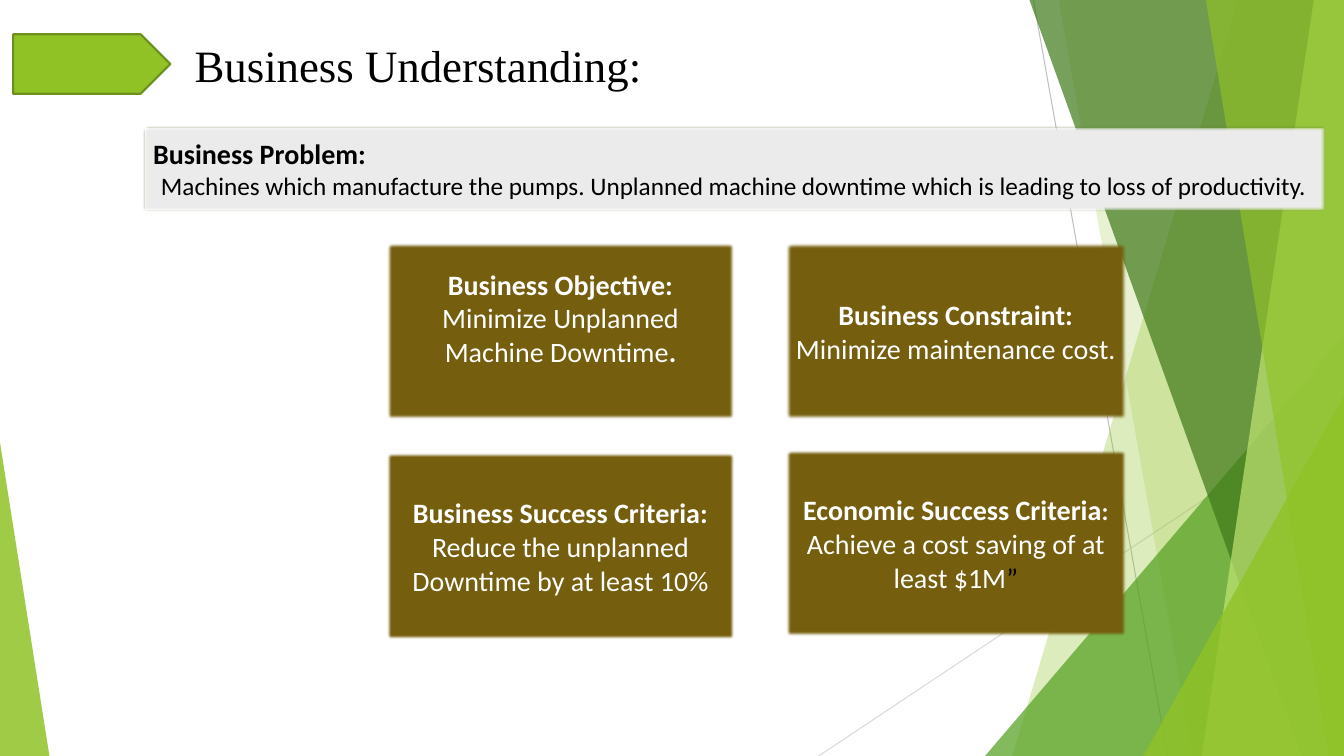
from lxml.etree import SubElement
from pptx import Presentation
from pptx.dml.color import RGBColor
from pptx.enum.shapes import MSO_CONNECTOR, MSO_SHAPE
from pptx.enum.text import MSO_ANCHOR, PP_ALIGN
from pptx.oxml.ns import qn
from pptx.util import Inches, Pt

# Content
TITLE = "Business Understanding:"
PROBLEM = [
    [("Business Problem:", {"bold": True})],
    [(" Machines which manufacture the pumps. Unplanned machine downtime "
      "which is leading to loss of productivity. ", {"size": 18})],
]
# Each card: column, top, height, bottom inset, paragraphs of (text, format)
CARDS = [
    (1, 2.41, 1.75, 0.05, [
        [("Business Constraint:", {"bold": True})],
        [("Minimize maintenance cost.", {})]]),
    (0, 2.41, 1.75, 0.32, [
        [("Business Objective:", {"bold": True})],
        [("Minimize Unplanned Machine Downtime", {}), (".", {"bold": True})]]),
    (1, 4.46, 1.86, 0.05, [
        [("Economic Success Criteria", {"bold": True}),
         (":", {"bold": True, "size": 18})],
        [("Achieve a cost saving of at least $1M", {}),
         ("”", {"color": "black"})]]),
    (0, 4.49, 1.86, 0.05, [
        [("Business Success Criteria:", {"bold": True})],
        [("Reduce the unplanned Downtime by at least 10%", {})]]),
]

# Style and grid
COLORS = {
    "black": "000000", "white": "FFFFFF", "panel": "EBEBEB", "card": "755E0D",
    "card_edge": "486113", "tag_edge": "6B901C", "lime": "90C226",
    "green": "54A021", "forest": "3F7819", "pale": "C0E474",
    "gray": "BFBFBF", "light_gray": "D9D9D9",
}
WIDTH, HEIGHT = 13.33, 7.5
COLUMNS = [(3.83, 3.46), (7.79, 3.38)]  # left, width

# Backdrop: bands run from the right edge to a slanted side (top x, bottom x)
LINES = [((10.25, 0), (11.58, HEIGHT), "gray"),
         ((WIDTH, 4.03), (8.12, HEIGHT), "light_gray")]
BACKDROP = [
    ("band", 12.28, 10.04, "lime", 30),
    ("band", 10.5, 11.83, "lime", 20),
    ("triangle", 9.77, 3.56, 3.33, 1, "green", 72),  # left, width, top, apex
    ("band", 10.21, 12.91, "forest", 70),
    ("band", 13.03, 11.92, "pale", 70),
    ("band", 11.96, 13.18, "lime", 65),
    ("triangle", 11.34, 1.99, 3.93, 1, "lime", 80),
    ("triangle", 0, 0.49, 4.39, 0, "lime", 85),
]


def rgb(name):
    return RGBColor.from_string(COLORS[name])


def paint(shape, fill, opacity=100, edge=None):
    shape.shadow.inherit = False
    shape.fill.solid()
    shape.fill.fore_color.rgb = rgb(fill)
    if opacity < 100:
        color = shape.fill._xPr.find(qn("a:solidFill"))[0]
        SubElement(color, qn("a:alpha")).set("val", str(opacity * 1000))
    if edge:
        shape.line.color.rgb = rgb(edge)
        shape.line.width = Pt(1.5)
    else:
        shape.line.fill.background()


def add_preset(shapes, kind, left, top, width, height, **look):
    shape = shapes.add_shape(kind, Inches(left), Inches(top), Inches(width), Inches(height))
    paint(shape, **look)
    return shape


def soften(shape, points):
    effects = shape._element.spPr.find(qn("a:effectLst"))
    SubElement(effects, qn("a:softEdge")).set("rad", str(int(Pt(points))))


def write(para, text, size=20, bold=False, color="black", font="Calibri"):
    span = para.add_run()
    span.text = text
    span.font.size, span.font.bold, span.font.name = Pt(size), bold, font
    span.font.color.rgb = rgb(color)


def fill_box(box, paragraphs, color, bottom=0.05, first_align=PP_ALIGN.CENTER):
    frame = box.text_frame
    frame.word_wrap = True
    frame.vertical_anchor = MSO_ANCHOR.MIDDLE
    frame.margin_bottom = Inches(bottom)
    for index, spans in enumerate(paragraphs):
        para = frame.add_paragraph() if index else frame.paragraphs[0]
        para.alignment = PP_ALIGN.CENTER if index else first_align
        for text, look in spans:
            write(para, text, **{"color": color, **look})


def draw_backdrop(shapes):
    for start, end, color in LINES:
        line = shapes.add_connector(MSO_CONNECTOR.STRAIGHT, *map(Inches, start + end))
        line.line.color.rgb = rgb(color)
        line.line.width = Pt(0.75)
        SubElement(line._element.spPr, qn("a:effectLst"))
    for kind, *numbers, color, opacity in BACKDROP:
        if kind == "band":
            top_x, bottom_x = numbers
            builder = shapes.build_freeform(Inches(top_x), 0)
            corners = [(WIDTH, 0), (WIDTH, HEIGHT), (bottom_x, HEIGHT)]
            builder.add_line_segments([(Inches(x), Inches(y)) for x, y in corners])
            paint(builder.convert_to_shape(), color, opacity)
        else:
            left, width, top, apex = numbers
            wedge = add_preset(shapes, MSO_SHAPE.ISOSCELES_TRIANGLE, left, top, width,
                               HEIGHT - top, fill=color, opacity=opacity)
            wedge.adjustments[0] = apex


def main():
    deck = Presentation()
    deck.slide_width, deck.slide_height = Inches(WIDTH), Inches(HEIGHT)
    page = deck.slides.add_slide(deck.slide_layouts[5])
    shapes = page.shapes
    draw_backdrop(shapes)

    # Title and its tag
    title = shapes.title
    title.left, title.top = Inches(1.83), Inches(0.32)
    title.width, title.height = Inches(11.5), Inches(0.64)
    title.text_frame.vertical_anchor = MSO_ANCHOR.MIDDLE
    heading = title.text_frame.paragraphs[0]
    heading.alignment = PP_ALIGN.LEFT
    write(heading, TITLE, size=32, font="Times New Roman")
    add_preset(shapes, MSO_SHAPE.PENTAGON, 0.13, 0.34, 1.56, 0.59,
               fill="lime", edge="tag_edge")

    # Problem panel
    panel = add_preset(shapes, MSO_SHAPE.RECTANGLE, 1.42, 1.26, 11.72, 0.83,
                       fill="panel", edge="card_edge")
    soften(panel, 2.5)
    fill_box(panel, PROBLEM, "black", first_align=PP_ALIGN.LEFT)

    # Cards
    for column, top, height, bottom, paragraphs in CARDS:
        left, width = COLUMNS[column]
        card = add_preset(shapes, MSO_SHAPE.RECTANGLE, left, top, width, height,
                          fill="card", edge="card_edge")
        soften(card, 2.5)
        fill_box(card, paragraphs, "white", bottom=bottom)

    deck.save("out.pptx")


if __name__ == "__main__":
    main()
